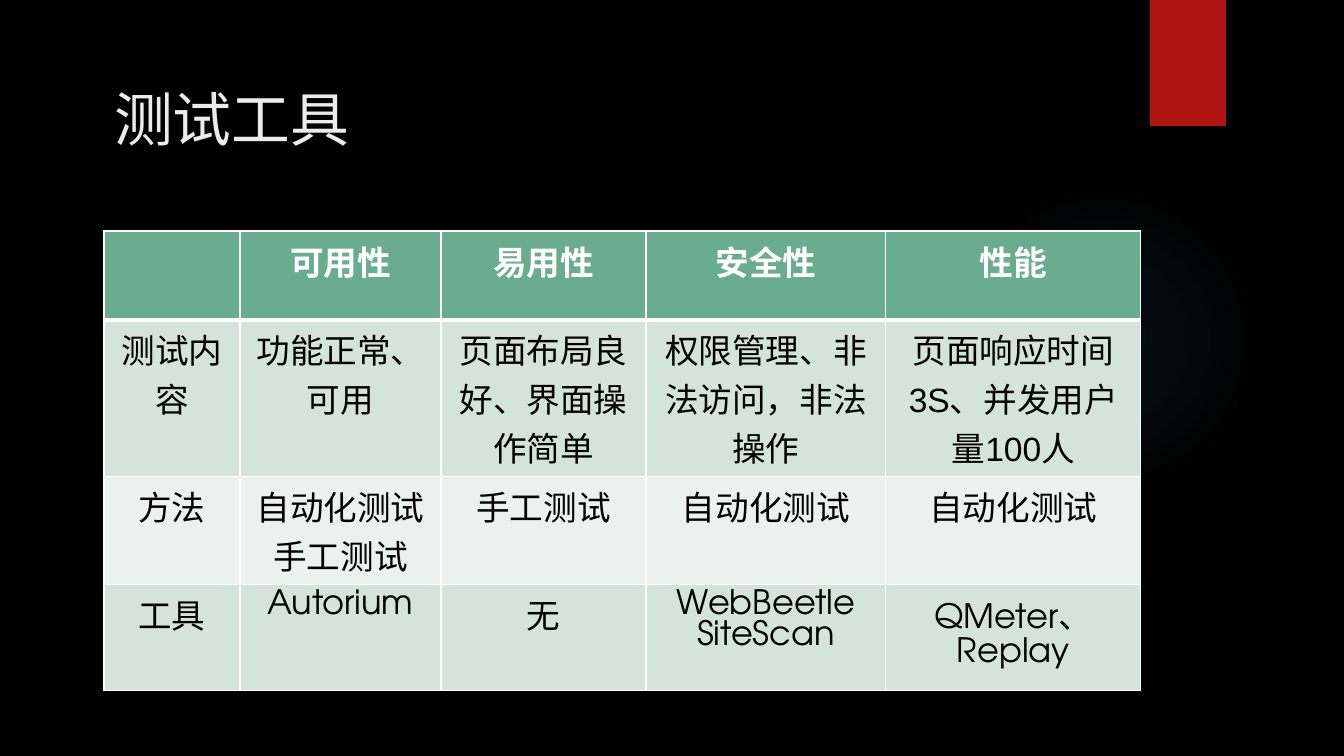
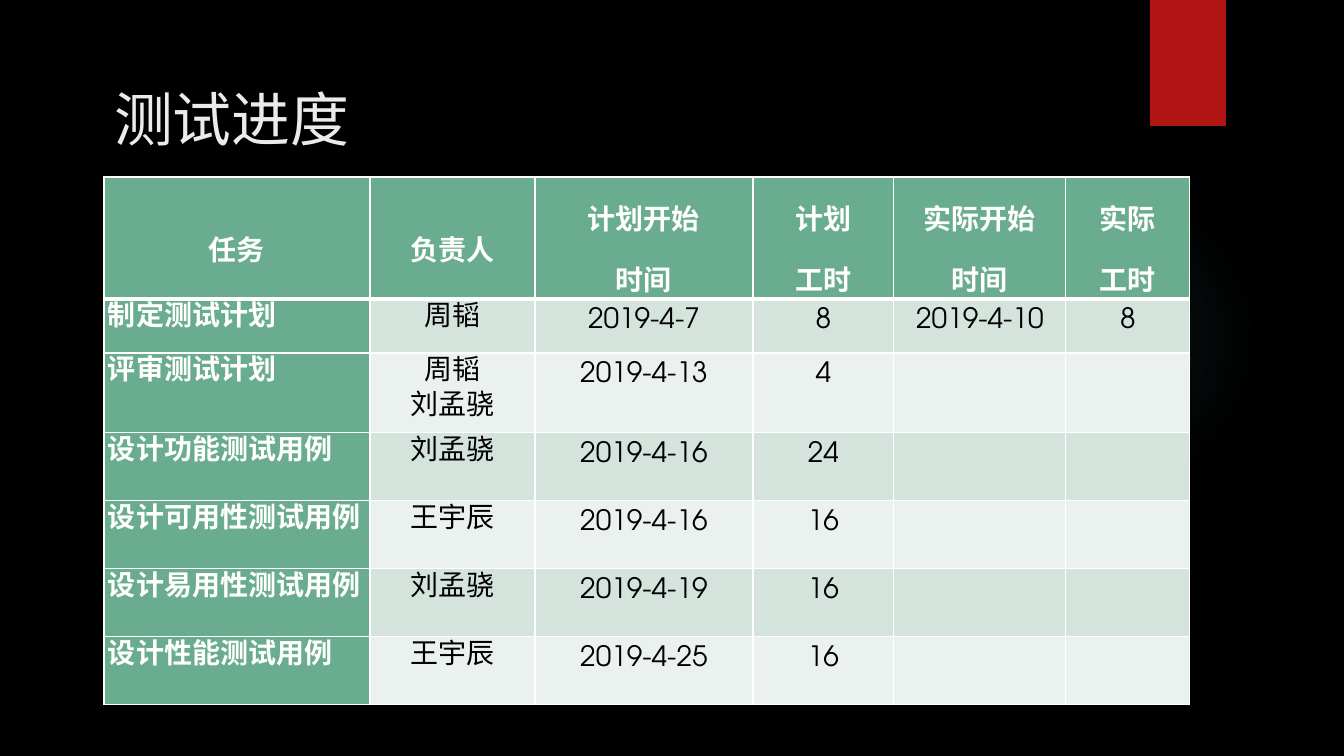
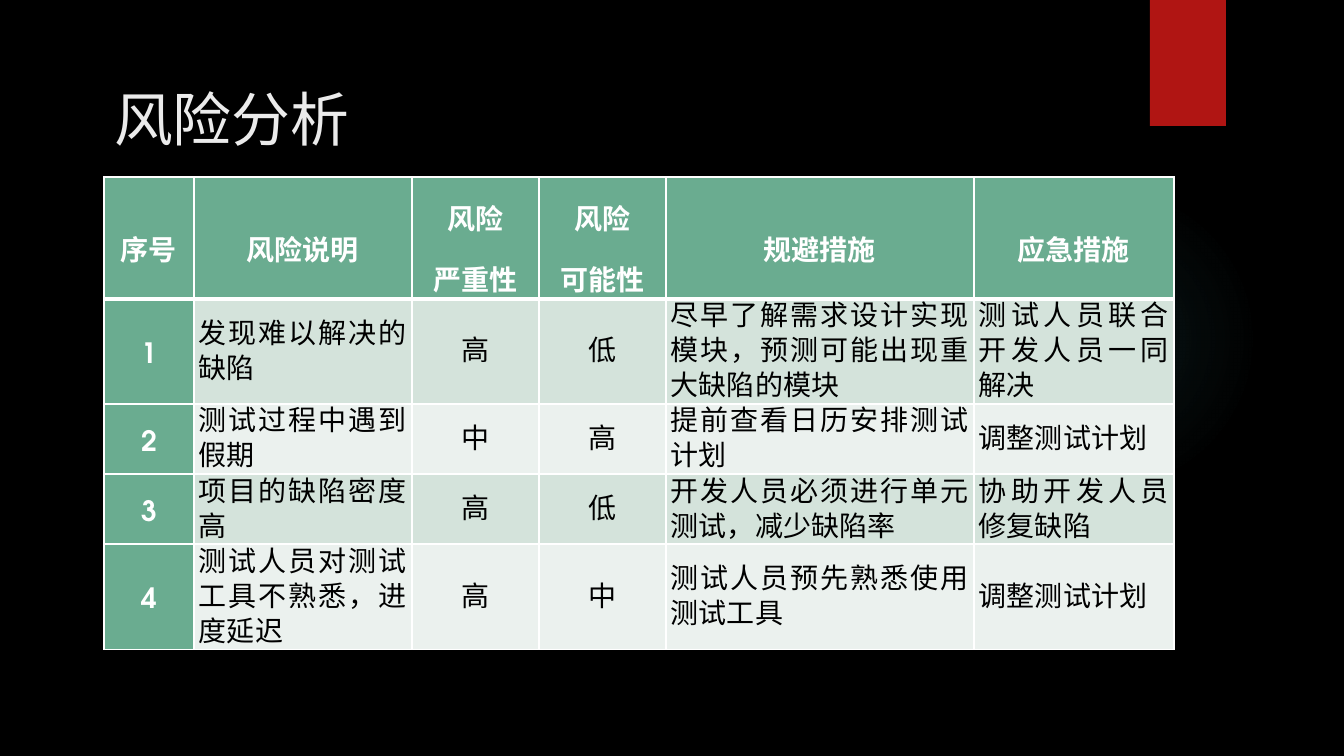
from lxml.etree import SubElement
from pptx import Presentation
from pptx.dml.color import RGBColor
from pptx.enum.shapes import MSO_SHAPE
from pptx.enum.text import MSO_ANCHOR, MSO_AUTO_SIZE, PP_ALIGN
from pptx.oxml import parse_xml
from pptx.oxml.ns import nsdecls, qn
from pptx.util import Pt

COLORS = {
    "background": "000000",
    "title": "EBEBEB",
    "glow": "50B9C1",
    "tab": "B01513",
    "header": "6AAC90",
    "band_dark": "D4E3DB",
    "band_light": "EBF1EE",
    "border": "FFFFFF",
    "header_text": "FFFFFF",
    "body_text": "000000",
}
FONT = "TeX Gyre Adventor"
EMU_PER_PX = 914400 / 100.8
SLIDE_SIZE = (1344, 756)
LEFT = 104
TITLE_TOP, TITLE_WIDTH = 78, 1037
GLOW_BOX = (949, 184, 310, 310)
TAB_BOX = (1150, 0, 76, 126)
GLOW_STOPS = [(0, 7), (36, 6), (69, 0)]
ALIGNMENTS = {"l": PP_ALIGN.LEFT, "c": PP_ALIGN.CENTER, "j": PP_ALIGN.JUSTIFY}

# A line break inside a cell starts a new paragraph.
SLIDES = [
    {
        "title": "测试工具",
        "title_height": 87,
        "top": 231,
        "columns": [136, 201, 205, 240, 255],
        "row_heights": [89, 156, 108, 106],
        "size": 24,
        "alignments": "ccccc",
        "row_fonts": {1: "Arial"},
        "rows": [
            ["", "可用性", "易用性", "安全性", "性能"],
            ["测试内容", "功能正常、可用", "页面布局良好、界面操作简单",
             "权限管理、非法访问，非法操作", "页面响应时间3S、并发用户量100人"],
            ["方法", "自动化测试\n手工测试", "手工测试", "自动化测试", "自动化测试"],
            ["工具", "Autorium", "无", "WebBeetle\nSiteScan", "QMeter、\nReplay"],
        ],
    },
    {
        "title": "测试进度",
        "title_height": 98,
        "top": 177,
        "columns": [266, 165, 218, 141, 172, 124],
        "row_heights": [121, 54, 80, 68, 68, 68, 68],
        "size": 20,
        "alignments": "lccccc",
        "margin": 4,
        "line_spacing": (1.5, Pt(25)),
        "anchors": (MSO_ANCHOR.MIDDLE, MSO_ANCHOR.TOP),
        "header_column": True,
        "rows": [
            ["任务", "负责人", "计划开始\n时间", "计划\n工时", "实际开始\n时间", "实际\n工时"],
            ["制定测试计划", "周韬", "2019-4-7", "8", "2019-4-10", "8"],
            ["评审测试计划", "周韬\n刘孟骁", "2019-4-13", "4", "", ""],
            ["设计功能测试用例", "刘孟骁", "2019-4-16", "24", "", ""],
            ["设计可用性测试用例", "王宇辰", "2019-4-16", "16", "", ""],
            ["设计易用性测试用例", "刘孟骁", "2019-4-19", "16", "", ""],
            ["设计性能测试用例", "王宇辰", "2019-4-25", "16", "", ""],
        ],
    },
    {
        "title": "风险分析",
        "title_height": 90,
        "top": 177,
        "columns": [90, 218, 127, 127, 308, 200],
        "row_heights": [121, 105, 70, 70, 105],
        "size": 20,
        "alignments": "cjccjj",
        "margin": 5,
        "line_spacing": (1.5, Pt(25)),
        "anchors": (MSO_ANCHOR.MIDDLE, MSO_ANCHOR.MIDDLE),
        "header_column": True,
        "rows": [
            ["序号", "风险说明", "风险\n严重性", "风险\n可能性", "规避措施", "应急措施"],
            ["1", "发现难以解决的缺陷", "高", "低",
             "尽早了解需求设计实现模块，预测可能出现重大缺陷的模块", "测试人员联合开发人员一同解决"],
            ["2", "测试过程中遇到假期", "中", "高", "提前查看日历安排测试计划", "调整测试计划"],
            ["3", "项目的缺陷密度高", "高", "低",
             "开发人员必须进行单元测试，减少缺陷率", "协助开发人员修复缺陷"],
            ["4", "测试人员对测试工具不熟悉，进度延迟", "高", "中",
             "测试人员预先熟悉使用测试工具", "调整测试计划"],
        ],
    },
]


def px(length):
    return round(length * EMU_PER_PX)


def rgb(name):
    return RGBColor.from_string(COLORS[name])


def add_run(paragraph, text, size, color, font=FONT, bold=False):
    run = paragraph.add_run()
    run.text = text
    run.font.size = Pt(size)
    run.font.name = font
    run.font.bold = bold
    run.font.color.rgb = rgb(color)


def add_plain_shape(slide, kind, box, color):
    shape = slide.shapes.add_shape(kind, *map(px, box))
    shape.shadow.inherit = False
    shape.fill.solid()
    shape.fill.fore_color.rgb = rgb(color)
    shape.line.fill.background()
    return shape


def make_radial(shape, color, stops):
    """Replace the solid fill by a circular gradient of (position, opacity) percentages."""
    stop_xml = "".join(
        f'<a:gs pos="{position * 1000}"><a:srgbClr val="{COLORS[color]}">'
        f'<a:alpha val="{opacity * 1000}"/></a:srgbClr></a:gs>'
        for position, opacity in stops)
    gradient = parse_xml(
        f'<a:gradFill {nsdecls("a")} rotWithShape="1"><a:gsLst>{stop_xml}</a:gsLst>'
        '<a:path path="circle"><a:fillToRect l="50000" t="50000" r="50000" b="50000"/>'
        '</a:path></a:gradFill>')
    properties = shape.element.spPr
    properties.replace(properties.find(qn("a:solidFill")), gradient)


def decorate_layout(layout, slide):
    """Give the layout its background, glow and tab; the shapes are drawn on slide, then moved."""
    layout.background.fill.solid()
    layout.background.fill.fore_color.rgb = rgb("background")
    glow = add_plain_shape(slide, MSO_SHAPE.OVAL, GLOW_BOX, "glow")
    make_radial(glow, "glow", GLOW_STOPS)
    tab = add_plain_shape(slide, MSO_SHAPE.RECTANGLE, TAB_BOX, "tab")
    for index, shape in enumerate((glow, tab), start=2):
        layout.shapes.element.insert(index, shape.element)


def add_title(slide, text, height):
    title = slide.shapes.title
    title.left, title.top = px(LEFT), px(TITLE_TOP)
    title.width, title.height = px(TITLE_WIDTH), px(height)
    frame = title.text_frame
    frame.auto_size = MSO_AUTO_SIZE.NONE
    frame.vertical_anchor = MSO_ANCHOR.TOP
    paragraph = frame.paragraphs[0]
    paragraph.alignment = PP_ALIGN.LEFT
    add_run(paragraph, text, 42, "title")


def set_borders(cell, row):
    """Draw thin borders, with a thick rule between the header and the first body row."""
    properties = cell._tc.get_or_add_tcPr()
    widths = {"lnL": 1, "lnR": 1, "lnT": 3 if row == 1 else 1, "lnB": 3 if row == 0 else 1}
    for index, (side, width) in enumerate(widths.items()):
        line = SubElement(properties, qn(f"a:{side}"), w=str(Pt(width)))
        fill = SubElement(line, qn("a:solidFill"))
        SubElement(fill, qn("a:srgbClr"), val=COLORS["border"])
        properties.insert(index, line)


def fill_cell(cell, text, row, column, content):
    in_body = row > 0
    is_header = not in_body or (column == 0 and content.get("header_column", False))
    band = "band_dark" if row % 2 else "band_light"
    cell.fill.solid()
    cell.fill.fore_color.rgb = rgb("header" if is_header else band)
    set_borders(cell, row)
    if "margin" in content:
        cell.margin_left = cell.margin_right = px(content["margin"])
        cell.margin_top = cell.margin_bottom = 0
    if "anchors" in content:
        cell.vertical_anchor = content["anchors"][in_body]
    if not text:
        return
    font = content.get("row_fonts", {}).get(row, FONT) if column else FONT
    frame = cell.text_frame
    for index, line in enumerate(text.split("\n")):
        paragraph = frame.add_paragraph() if index else frame.paragraphs[0]
        paragraph.alignment = ALIGNMENTS[content["alignments"][column] if in_body else "c"]
        if "line_spacing" in content:
            paragraph.line_spacing = content["line_spacing"][in_body]
        add_run(paragraph, line, content["size"],
                "header_text" if is_header else "body_text", font, is_header)


def add_content_table(slide, content):
    columns, heights = content["columns"], content["row_heights"]
    table = slide.shapes.add_table(
        len(heights), len(columns), px(LEFT), px(content["top"]),
        px(sum(columns)), px(sum(heights))).table
    table.horz_banding = False
    for column, width in zip(table.columns, columns):
        column.width = px(width)
    for row, height in zip(table.rows, heights):
        row.height = px(height)
    for row, texts in enumerate(content["rows"]):
        for column, text in enumerate(texts):
            fill_cell(table.cell(row, column), text, row, column, content)


def main():
    presentation = Presentation()
    presentation.slide_width, presentation.slide_height = map(px, SLIDE_SIZE)
    layout = presentation.slide_layouts[5]
    for index, content in enumerate(SLIDES):
        slide = presentation.slides.add_slide(layout)
        if index == 0:
            decorate_layout(layout, slide)
        add_title(slide, content["title"], content["title_height"])
        add_content_table(slide, content)
    presentation.save("out.pptx")


if __name__ == "__main__":
    main()
